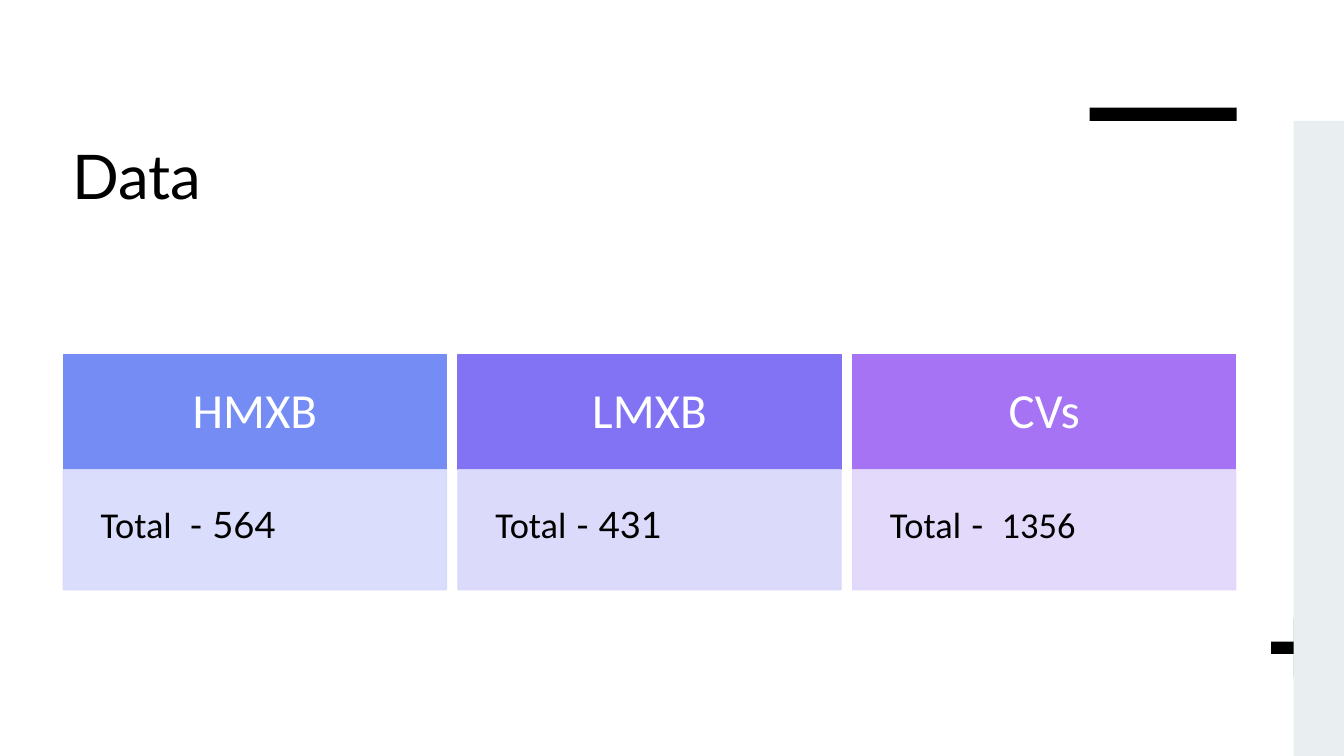
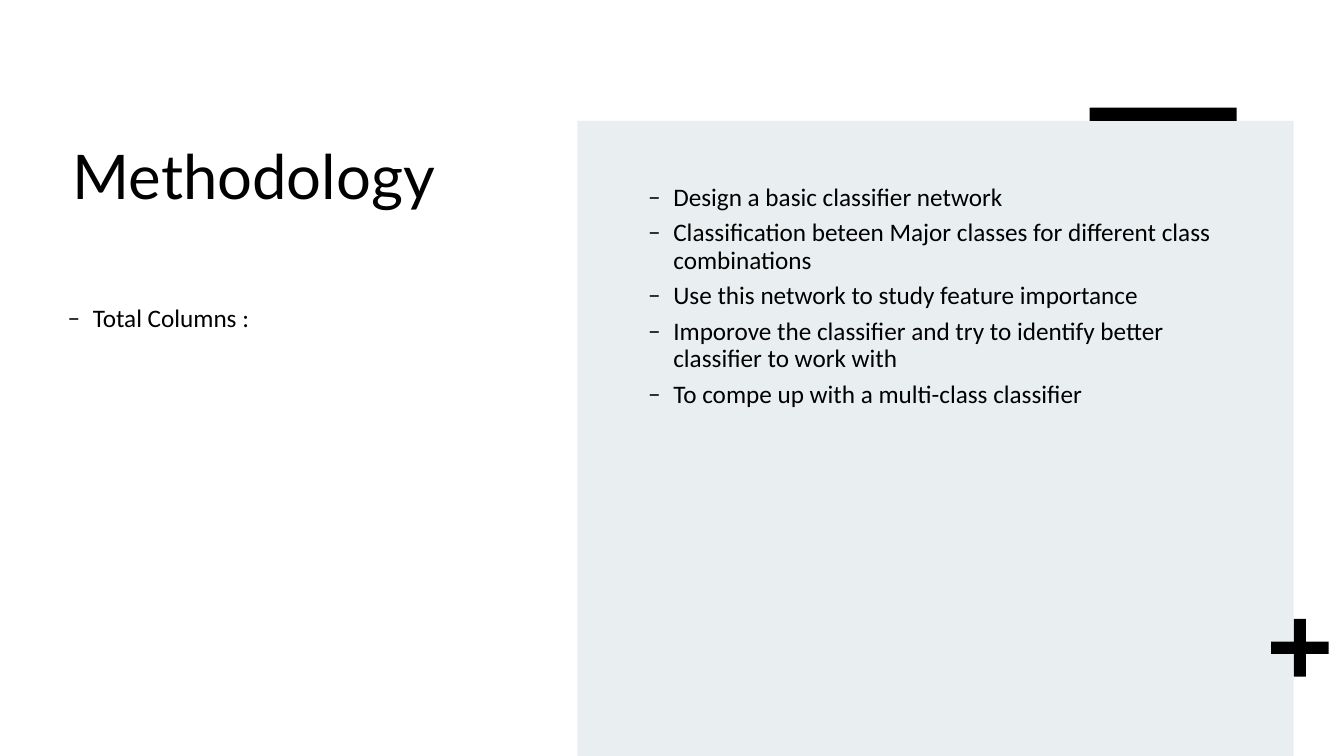
from pptx import Presentation
from pptx.dml.color import RGBColor
from pptx.enum.shapes import MSO_SHAPE
from pptx.enum.text import MSO_ANCHOR, MSO_AUTO_SIZE, PP_ALIGN
from pptx.oxml.ns import qn
from pptx.util import Pt
from lxml.etree import SubElement

SLIDE_W, SLIDE_H = 960, 540
BLACK, WHITE, PANEL = "000000", "FFFFFF", "E9EFF1"
HEAD_FONT, BODY_FONT = "Lato", "Calibri"
PANEL_TOP, PANEL_RIGHT = 86.4, 924


def rgb(value):
    return RGBColor.from_string(value)


def add_run(p, text, size, font, color=BLACK):
    r = p.add_run()
    r.text = text
    r.font.size = Pt(size)
    r.font.name = font
    r.font.color.rgb = rgb(color)


def add_block(s, box, fill, shape=MSO_SHAPE.RECTANGLE, line=False, alpha=None):
    sp = s.shapes.add_shape(shape, *map(Pt, box))
    sp.shadow.inherit = False
    sp.fill.solid()
    sp.fill.fore_color.rgb = rgb(fill)
    if line:
        sp.line.color.rgb = rgb(fill)
        sp.line.width = Pt(1)
    else:
        sp.line.fill.background()
    if alpha is not None:
        for color in sp._element.spPr.iter(qn("a:srgbClr")):
            SubElement(color, qn("a:alpha")).set("val", str(alpha * 1000))
    return sp


def set_frame(sp, anchor, inset=None):
    tf = sp.text_frame
    tf.word_wrap = True
    tf.auto_size = MSO_AUTO_SIZE.NONE
    tf.vertical_anchor = anchor
    if inset is not None:
        tf.margin_left = tf.margin_right = Pt(inset)
        tf.margin_top = tf.margin_bottom = Pt(inset)
    return tf


def start_slide(prs, title, title_box, panel_left):
    s = prs.slides.add_slide(prs.slide_layouts[5])
    sp = s.shapes.title
    sp.left, sp.top, sp.width, sp.height = map(Pt, title_box)
    p = set_frame(sp, MSO_ANCHOR.TOP).paragraphs[0]
    p.alignment = PP_ALIGN.LEFT
    add_run(p, title, 44, HEAD_FONT)
    panel = (panel_left, PANEL_TOP, PANEL_RIGHT - panel_left, SLIDE_H - PANEL_TOP)
    add_block(s, panel, PANEL)
    add_block(s, (778.3, 77, 105.1, PANEL_TOP - 77), BLACK)
    plus = add_block(s, (907.9, 442.1, 41.2, 41.2), BLACK, MSO_SHAPE.CROSS)
    plus.adjustments[0] = 0.395
    return s


def add_card(s, box, head_h, name, runs, head_fill, body_fill):
    x, y, w, h = box
    head = add_block(s, (x, y, w, head_h), head_fill, line=True)
    p = set_frame(head, MSO_ANCHOR.MIDDLE, 21.6).paragraphs[0]
    p.alignment = PP_ALIGN.CENTER
    p.line_spacing = 0.9
    add_run(p, name, 35, BODY_FONT, WHITE)

    body = add_block(s, (x, y + head_h, w, h - head_h), body_fill, line=True, alpha=90)
    p = set_frame(body, MSO_ANCHOR.TOP, 26.6).paragraphs[0]
    p.alignment = PP_ALIGN.LEFT
    p.line_spacing = 0.9
    for text, font in runs:
        add_run(p, text, 26, font)


def add_bullets(s, box, items):
    tf = set_frame(s.shapes.add_textbox(*map(Pt, box)), MSO_ANCHOR.TOP)
    for i, item in enumerate(items):
        p = tf.paragraphs[0] if i == 0 else tf.add_paragraph()
        p.line_spacing = 0.9
        p.space_after = Pt(6)
        pPr = p._p.get_or_add_pPr()
        pPr.set("marL", str(Pt(22.5)))
        pPr.set("indent", str(-Pt(18)))
        SubElement(pPr, qn("a:buFont")).set("typeface", BODY_FONT)
        SubElement(pPr, qn("a:buChar")).set("char", "–")
        add_run(p, item, 18, BODY_FONT)


def data_slide(prs):
    s = start_slide(prs, "Data", (44.6, 95, 651, 113.8), PANEL_RIGHT)
    add_block(s, (PANEL_RIGHT, PANEL_TOP, SLIDE_W - PANEL_RIGHT, SLIDE_H - PANEL_TOP), PANEL)
    cards = [
        ("HMXB", [("Total ", BODY_FONT), (" - 564", HEAD_FONT)], "748CF4", "D6DAFB"),
        ("LMXB", [("Total", BODY_FONT), (" - 431", HEAD_FONT)], "8173F4", "D9D6FB"),
        ("CVs", [("Total", BODY_FONT), (" - ", HEAD_FONT), (" 1356", BODY_FONT)],
         "A673F4", "E1D5FB"),
    ]
    for i, card in enumerate(cards):
        add_card(s, (45.3 + i * 281.9, 253.4, 273.6, 167.8), 82.1, *card)


def methodology_slide(prs):
    s = start_slide(prs, "Methodology", (44.6, 95, 324, 367.9), 412.4)
    add_bullets(s, (451.4, 128.2, 432, 369.4), [
        "Design a basic classifier network",
        "Classification beteen Major classes for different class combinations",
        "Use this network to study feature importance",
        "Imporove the classifier and try to identify better classifier to work with",
        "To compe up with a multi-class classifier",
    ])
    add_bullets(s, (36.7, 214.6, 432, 223.2), ["Total Columns :"])


def main():
    prs = Presentation()
    prs.slide_width, prs.slide_height = Pt(SLIDE_W), Pt(SLIDE_H)
    data_slide(prs)
    methodology_slide(prs)
    prs.save("out.pptx")


if __name__ == "__main__":
    main()
